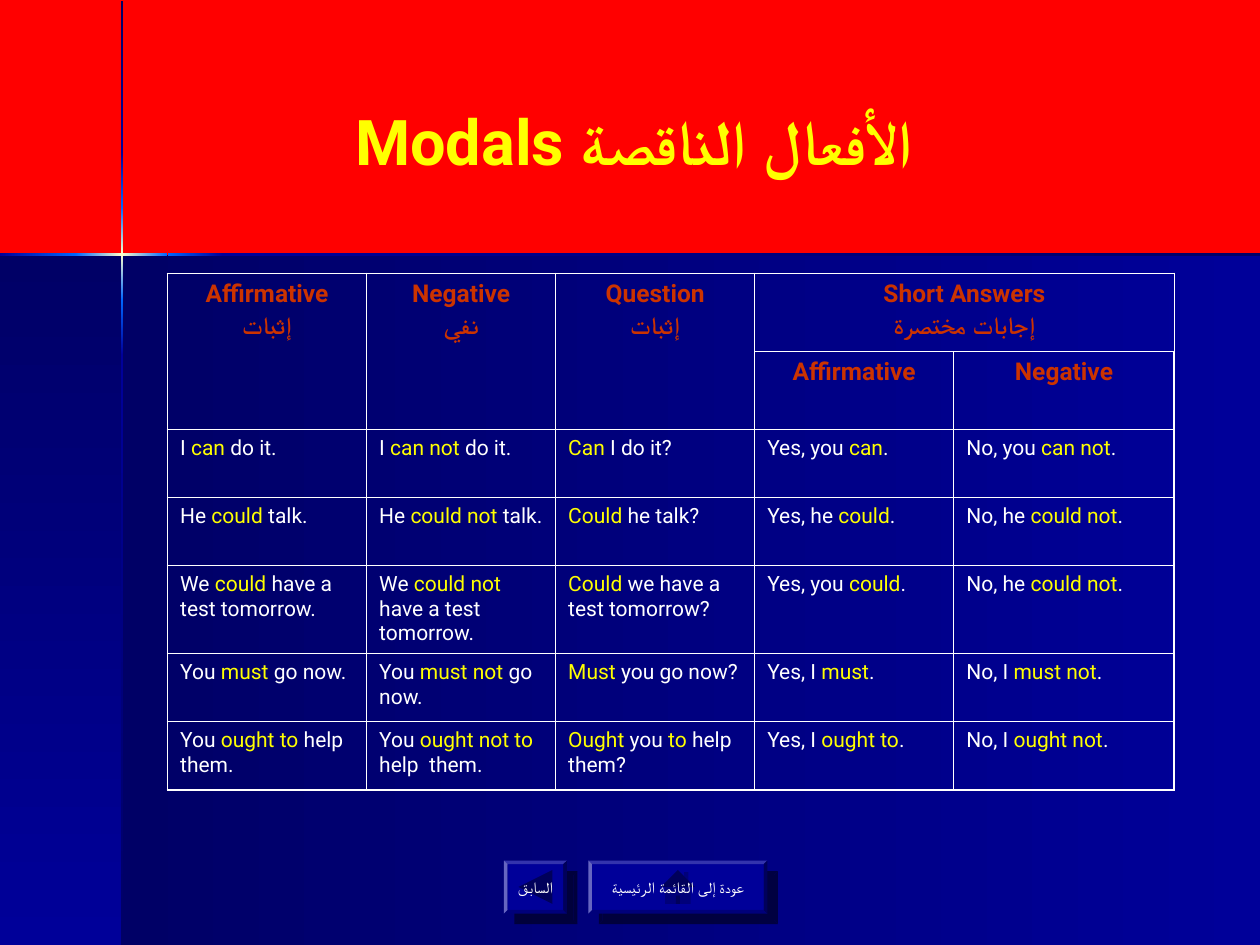
from dataclasses import dataclass
from typing import NamedTuple

from lxml.etree import SubElement
from pptx import Presentation
from pptx.dml.color import RGBColor
from pptx.enum.shapes import MSO_SHAPE as Shape
from pptx.enum.text import MSO_ANCHOR as Anchor, MSO_AUTO_SIZE as AutoSize, PP_ALIGN as Align
from pptx.oxml import parse_xml
from pptx.oxml.ns import nsdecls, qn
from pptx.util import Inches, Pt


@dataclass(frozen=True)
class Theme:
    font: str = "Roboto"
    red: str = "FF0000"
    yellow: str = "FFFF00"
    white: str = "FFFFFF"
    rust: str = "CC3300"
    navy: str = "000066"
    blue: str = "000099"
    sky: str = "0066FF"
    cream: str = "FFFFCC"
    title_size: float = 36
    header_size: float = 14
    body_size: float = 12
    button_size: float = 9
    outer_line: float = 1.08
    inner_line: float = 0.45


class Band(NamedTuple):
    left: float
    top: float
    width: float
    height: float
    angle: int
    colors: tuple[str, ...]


class Button(NamedTuple):
    left: float
    width: float
    icon: Shape
    label: str


class Header(NamedTuple):
    row: int
    column: int
    last_row: int
    last_column: int
    lines: tuple[str, ...]


THEME = Theme()
DOWN, LEFTWARD = 90, 180
BUTTON_TOP, BUTTON_HEIGHT, BEVEL = 6.83, 0.42, 0.03
COLUMNS = (1.58, 1.5, 1.58, 1.58, 1.75)
ROWS = (0.62, 0.62, 0.54, 0.54, 0.7, 0.54, 0.54)
GLOW = (THEME.sky, THEME.cream, THEME.sky)

BANDS = (
    Band(0.97, 2.02, 9.03, 5.48, LEFTWARD, (THEME.blue, THEME.navy)),
    Band(0, 2.02, 0.97, 5.48, DOWN, (THEME.navy, THEME.blue)),
    Band(0.96, 0.01, 0.02, 1.21, DOWN, (THEME.navy, THEME.blue)),
    Band(0.96, 2.82, 0.02, 4.68, DOWN, (THEME.blue, THEME.navy)),
    Band(1.77, 2.01, 8.23, 0.02, LEFTWARD, (THEME.navy, THEME.blue)),
    Band(0.96, 2.38, 0.02, 0.44, DOWN, (THEME.sky, THEME.blue)),
    Band(0.96, 1.21, 0.02, 0.44, DOWN, (THEME.blue, THEME.sky)),
    Band(0.96, 1.65, 0.02, 0.73, DOWN, GLOW),
    Band(0, 2.01, 0.61, 0.02, LEFTWARD, (THEME.sky, THEME.blue)),
    Band(1.33, 2.01, 0.44, 0.02, LEFTWARD, (THEME.blue, THEME.sky)),
    Band(0.6, 2.01, 0.73, 0.02, LEFTWARD, GLOW),
)

BUTTONS = (
    Button(4, 0.5, Shape.ACTION_BUTTON_BACK_OR_PREVIOUS, "السابق"),
    Button(4.67, 1.42, Shape.ACTION_BUTTON_HOME, "عودة إلى القائمة الرئيسية"),
)

HEADERS = (
    Header(0, 0, 1, 0, ("Affirmative", "إثبات")),
    Header(0, 1, 1, 1, ("Negative", "نفي")),
    Header(0, 2, 1, 2, ("Question", "إثبات")),
    Header(0, 3, 0, 4, ("Short Answers", "إجابات مختصرة")),
    Header(1, 3, 1, 3, ("Affirmative",)),
    Header(1, 4, 1, 4, ("Negative",)),
)

EXAMPLES = (
    ("I *can* do it.", "I *can not* do it.", "*Can* I do it?",
     "Yes, you *can*.", "No, you *can not*."),
    ("He *could* talk.", "He *could not* talk.", "*Could* he talk?",
     "Yes, he *could*.", "No, he *could not*."),
    ("We *could* have a test tomorrow.", "We *could not* have a test tomorrow.",
     "*Could* we have a test tomorrow?", "Yes, you *could*.", "No, he *could not*."),
    ("You *must* go now.", "You *must not* go now.", "*Must* you go now?",
     "Yes, I *must*.", "No, I *must not*."),
    ("You *ought to* help  them.", "You *ought not to* help  them.",
     "*Ought* you *to* help  them?", "Yes, I *ought to*.", "No, I *ought not*."),
)


def add_span(para, text: str, size: float, color: str, bold: bool = False) -> None:
    span = para.add_run()
    span.text = text
    span.font.name = THEME.font
    span.font.size = Pt(size)
    span.font.bold = bold
    span.font.color.rgb = RGBColor.from_string(color)


def add_block(page, kind: Shape, left: float, top: float, width: float, height: float):
    block = page.shapes.add_shape(kind, Inches(left), Inches(top), Inches(width), Inches(height))
    block.shadow.inherit = False
    block.line.fill.background()
    block.fill.solid()
    block.fill.fore_color.rgb = RGBColor.from_string(THEME.blue)
    return block


def draw_band(page, band: Band) -> None:
    block = add_block(page, Shape.RECTANGLE, band.left, band.top, band.width, band.height)
    step = 100000 // (len(band.colors) - 1)
    stops = "".join(
        f'<a:gs pos="{index * step}"><a:srgbClr val="{color}"/></a:gs>'
        for index, color in enumerate(band.colors))
    gradient = parse_xml(
        f'<a:gradFill {nsdecls("a")} rotWithShape="1"><a:gsLst>{stops}</a:gsLst>'
        f'<a:lin ang="{band.angle * 60000}" scaled="0"/></a:gradFill>')
    properties = block.element.spPr
    properties.replace(properties.find(qn("a:solidFill")), gradient)


def draw_title(page) -> None:
    title = page.shapes.title
    title.left, title.top = Inches(1.17), Inches(0.33)
    title.width, title.height = Inches(8.25), Inches(1.57)
    frame = title.text_frame
    frame.auto_size = AutoSize.NONE
    frame.vertical_anchor = Anchor.MIDDLE
    frame.margin_right = Inches(0.63)
    para = frame.paragraphs[0]
    para.alignment = Align.CENTER
    add_span(para, "Modals الأفعال الناقصة", THEME.title_size, THEME.yellow, True)


def draw_button(page, button: Button) -> None:
    frame = add_block(page, Shape.BEVEL, button.left, BUTTON_TOP, button.width, BUTTON_HEIGHT)
    frame.adjustments[0] = BEVEL / BUTTON_HEIGHT
    effects = frame.element.spPr.find(qn("a:effectLst"))
    shadow = SubElement(effects, qn("a:outerShdw"), dist=str(Pt(8.5)), dir=str(45 * 60000),
                        algn="ctr", rotWithShape="0")
    black = SubElement(shadow, qn("a:srgbClr"), val="000000")
    SubElement(black, qn("a:alpha"), val="50000")
    face = add_block(page, button.icon, button.left + BEVEL, BUTTON_TOP + BEVEL,
                     button.width - 2 * BEVEL, BUTTON_HEIGHT - 2 * BEVEL)
    face.text_frame.word_wrap = False
    face.text_frame.vertical_anchor = Anchor.MIDDLE
    para = face.text_frame.paragraphs[0]
    para.alignment = Align.CENTER
    add_span(para, button.label, THEME.button_size, THEME.white)


def format_cell(cell, row: int, column: int) -> None:
    cell.fill.background()
    outer = {"L": column == 0, "R": column == len(COLUMNS) - 1,
             "T": row == 0, "B": row == len(ROWS) - 1}
    properties = cell._tc.get_or_add_tcPr()
    for index, (side, is_outer) in enumerate(outer.items()):
        width = Pt(THEME.outer_line if is_outer else THEME.inner_line)
        properties.insert(index, parse_xml(
            f'<a:ln{side} {nsdecls("a")} w="{width}"><a:solidFill>'
            f'<a:srgbClr val="{THEME.white}"/></a:solidFill></a:ln{side}>'))


def draw_table(page) -> None:
    table = page.shapes.add_table(len(ROWS), len(COLUMNS), Inches(1.33), Inches(2.17),
                                  Inches(sum(COLUMNS)), Inches(sum(ROWS))).table
    table.first_row = table.horz_banding = False
    for column, width in zip(table.columns, COLUMNS):
        column.width = Inches(width)
    for row, height in zip(table.rows, ROWS):
        row.height = Inches(height)
    for row in range(len(ROWS)):
        for column in range(len(COLUMNS)):
            format_cell(table.cell(row, column), row, column)
    for header in HEADERS:
        cell = table.cell(header.row, header.column)
        if (header.row, header.column) != (header.last_row, header.last_column):
            cell.merge(table.cell(header.last_row, header.last_column))
        for index, line in enumerate(header.lines):
            para = cell.text_frame.add_paragraph() if index else cell.text_frame.paragraphs[0]
            para.alignment = Align.CENTER
            para.space_before = Pt(3.5 if index else 0)
            add_span(para, line, THEME.header_size, THEME.rust, True)
    for row, sentences in enumerate(EXAMPLES, start=2):
        for column, sentence in enumerate(sentences):
            para = table.cell(row, column).text_frame.paragraphs[0]
            for index, part in enumerate(sentence.split("*")):
                if part:
                    add_span(para, part, THEME.body_size, THEME.yellow if index % 2 else THEME.white)


def main() -> None:
    deck = Presentation()
    deck.slide_width, deck.slide_height = Inches(10), Inches(7.5)
    page = deck.slides.add_slide(deck.slide_layouts[5])
    page.background.fill.solid()
    page.background.fill.fore_color.rgb = RGBColor.from_string(THEME.red)
    for band in BANDS:
        draw_band(page, band)
    draw_title(page)
    draw_table(page)
    for button in BUTTONS:
        draw_button(page, button)
    deck.save("out.pptx")


if __name__ == "__main__":
    main()
